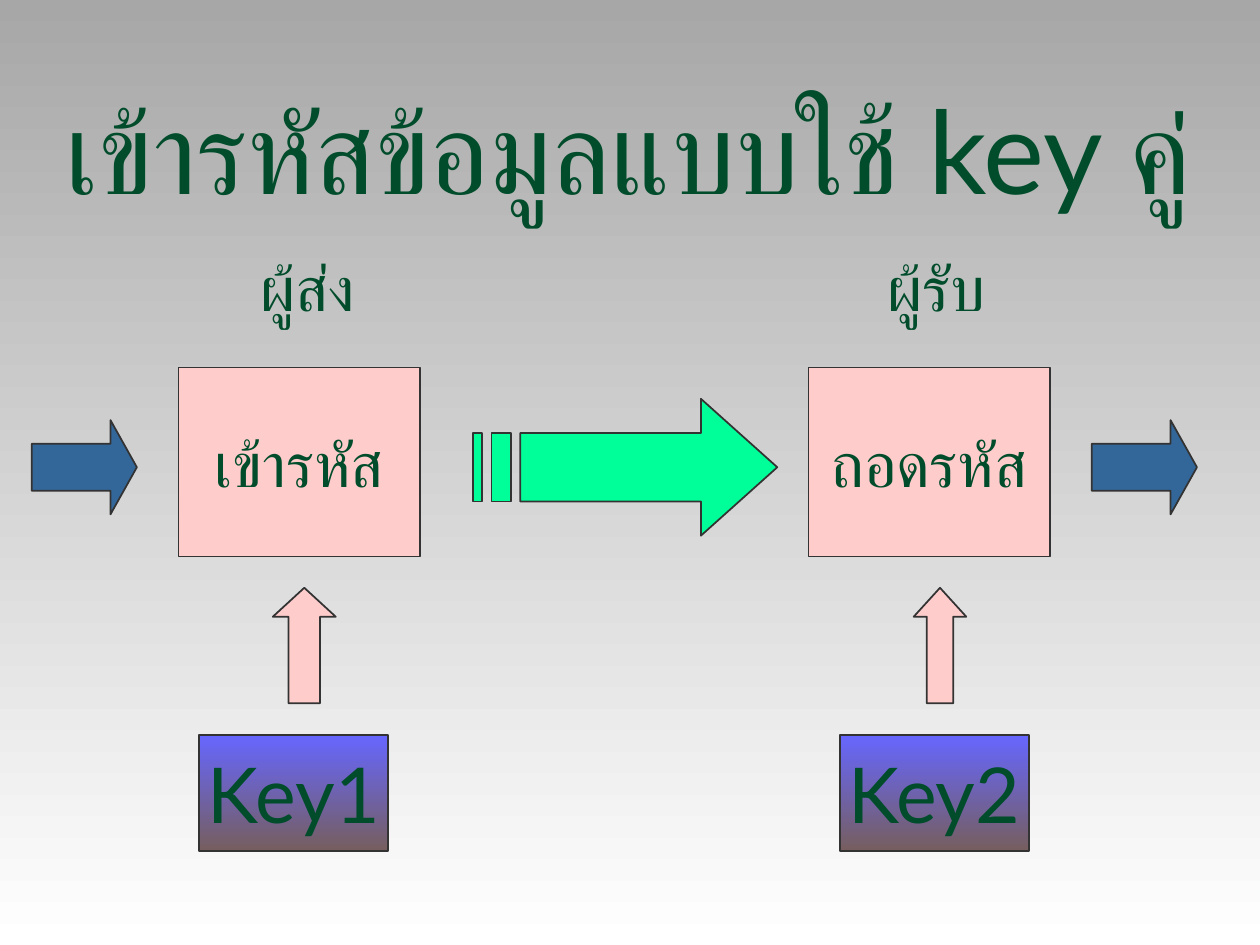
import pptx
import pptx.util
import pptx.dml.color
import pptx.enum.shapes
import pptx.enum.text

Cm, Pt = pptx.util.Cm, pptx.util.Pt
RGBColor = pptx.dml.color.RGBColor
SHAPE = pptx.enum.shapes.MSO_SHAPE
ANCHOR = pptx.enum.text.MSO_ANCHOR
ALIGN = pptx.enum.text.PP_ALIGN
AUTO_SIZE = pptx.enum.text.MSO_AUTO_SIZE

GREY = RGBColor(0xA7, 0xA7, 0xA7)
WHITE = RGBColor(0xFF, 0xFF, 0xFF)
PINK = RGBColor(0xFF, 0xCC, 0xCC)
MINT = RGBColor(0x00, 0xFF, 0x99)
BLUE = RGBColor(0x33, 0x66, 0x99)
VIOLET = RGBColor(0x66, 0x66, 0xFF)
BROWN = RGBColor(0x76, 0x5E, 0x5E)
OUTLINE = RGBColor(0x33, 0x33, 0x33)
GREEN = RGBColor(0x00, 0x4C, 0x2B)

FONT = "Lato"
BOX_FRAME = {"word_wrap": False, "vertical_anchor": ANCHOR.MIDDLE}
LABEL_FRAME = {**BOX_FRAME, "auto_size": AUTO_SIZE.SHAPE_TO_FIT_TEXT}

# Places are left, top, width, height in cm.
TEXTS = [
    ("เข้ารหัสข้อมูลแบบใช้ key คู่", 66, (0.79, 1.47, 23.75, 3.05)),
    ("ผู้ส่ง", 36, (4.94, 4.88, 2.54, 1.78)),
    ("ผู้รับ", 36, (17.6, 4.88, 2.56, 1.78)),
]
BOXES = [
    ("เข้ารหัส", 36, (3.6, 7.41, 4.87, 3.81), (PINK,)),
    ("ถอดรหัส", 36, (16.3, 7.41, 4.87, 3.81), (PINK,)),
    ("Key1", 44, (4.02, 14.82, 3.81, 2.33), (VIOLET, BROWN)),
    ("Key2", 44, (16.93, 14.82, 3.81, 2.33), (VIOLET, BROWN)),
]
ARROWS = [
    (SHAPE.RIGHT_ARROW, (0.64, 8.47, 2.12, 1.9), 0.28, BLUE),
    (SHAPE.RIGHT_ARROW, (22.01, 8.47, 2.12, 1.9), 0.28, BLUE),
    (SHAPE.UP_ARROW, (5.5, 11.85, 1.27, 2.33), 0.46, PINK),
    (SHAPE.UP_ARROW, (18.42, 11.85, 1.06, 2.33), 0.55, PINK),
]
# Striped arrow: shaft edges, head extent and stripes in cm.
SHAFT_TOP, SHAFT_BOTTOM = 8.73, 10.11
HEAD_TOP, HEAD_BOTTOM = 8.04, 10.8
SHAFT_LEFT, HEAD_LEFT, TIP = 10.49, 14.13, 15.67
STRIPES = [(9.53, 9.72), (9.91, 10.3)]


def paint(fill, colors):
    """Fill with one colour, or with two from top to bottom."""
    if len(colors) == 1:
        fill.solid()
        fill.fore_color.rgb = colors[0]
        return
    fill.gradient()
    fill.gradient_angle = 270
    for stop, color, position in zip(fill.gradient_stops, colors, (0, 1)):
        stop.color.rgb = color
        stop.position = position


def style(sp, colors):
    sp.shadow.inherit = False
    paint(sp.fill, colors)
    sp.line.color.rgb = OUTLINE
    sp.line.width = Pt(1)


def write(sp, text, size, frame):
    tf = sp.text_frame
    for name, value in frame.items():
        setattr(tf, name, value)
    p = tf.paragraphs[0]
    p.alignment = ALIGN.CENTER
    r = p.add_run()
    r.text = text
    for name, value in {"name": FONT, "size": Pt(size)}.items():
        setattr(r.font, name, value)
    r.font.color.rgb = GREEN


def add_striped_arrow(s):
    middle = (HEAD_TOP + HEAD_BOTTOM) / 2
    outlines = [[
        (SHAFT_LEFT, SHAFT_TOP), (HEAD_LEFT, SHAFT_TOP),
        (HEAD_LEFT, HEAD_TOP), (TIP, middle), (HEAD_LEFT, HEAD_BOTTOM),
        (HEAD_LEFT, SHAFT_BOTTOM), (SHAFT_LEFT, SHAFT_BOTTOM),
    ]]
    for left, right in STRIPES:
        outlines.append([(left, SHAFT_TOP), (right, SHAFT_TOP),
                         (right, SHAFT_BOTTOM), (left, SHAFT_BOTTOM)])
    builder = None
    for outline in outlines:
        start, *rest = [(Cm(x), Cm(y)) for x, y in outline]
        if builder is None:
            builder = s.shapes.build_freeform(*start)
        else:
            builder.move_to(*start)
        builder.add_line_segments(rest, close=True)
    style(builder.convert_to_shape(), (MINT,))


def main():
    prs = pptx.Presentation()
    prs.slide_width, prs.slide_height = Cm(25.4), Cm(19.05)
    s = prs.slides.add_slide(prs.slide_layouts[6])
    paint(s.background.fill, (GREY, WHITE))

    for text, size, place, colors in BOXES:
        sp = s.shapes.add_shape(SHAPE.RECTANGLE, *map(Cm, place))
        style(sp, colors)
        write(sp, text, size, BOX_FRAME)
    add_striped_arrow(s)
    for kind, place, head, color in ARROWS:
        sp = s.shapes.add_shape(kind, *map(Cm, place))
        sp.adjustments[1] = head
        style(sp, (color,))
    for text, size, place in TEXTS:
        sp = s.shapes.add_textbox(*map(Cm, place))
        write(sp, text, size, LABEL_FRAME)

    prs.save("out.pptx")


if __name__ == "__main__":
    main()
